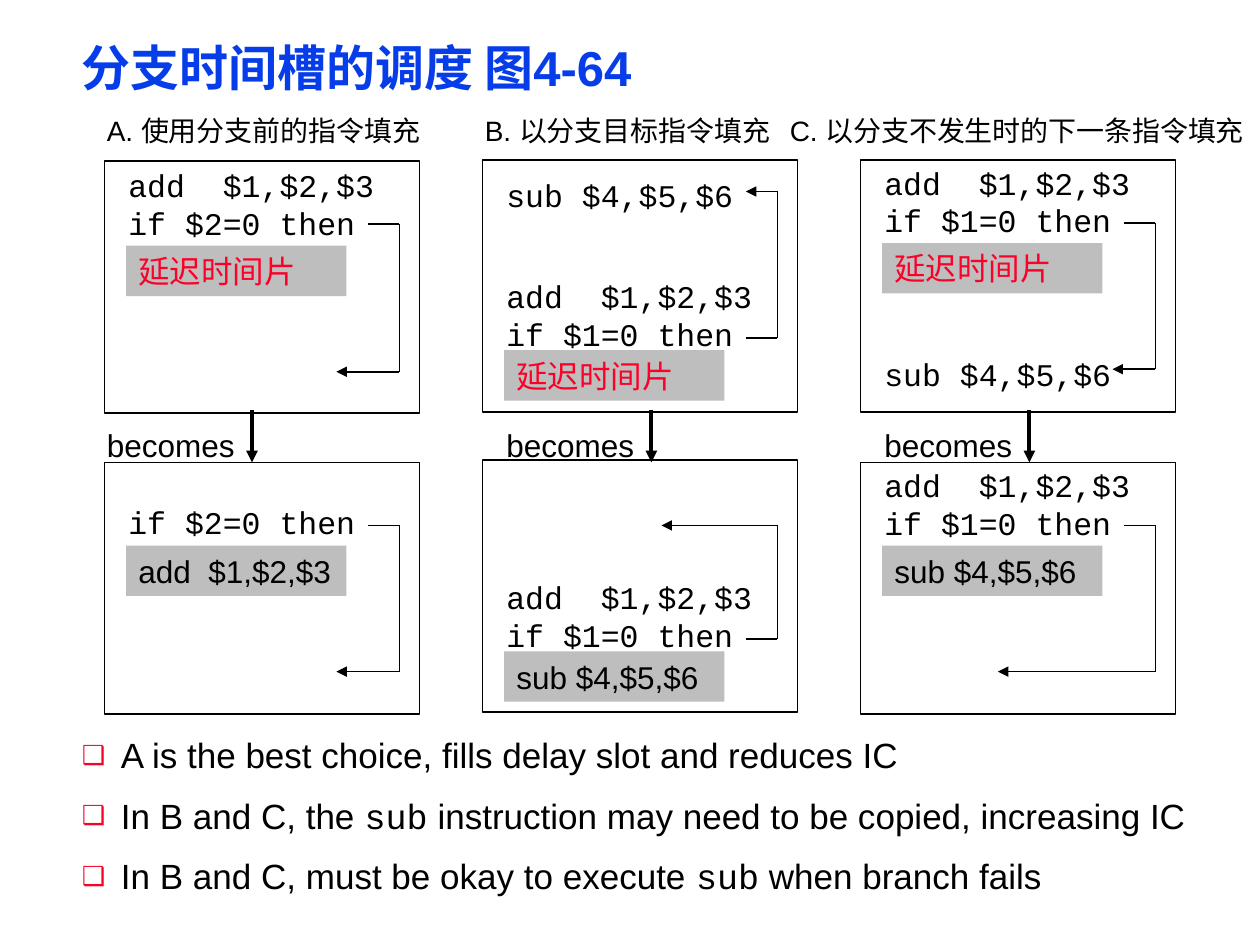
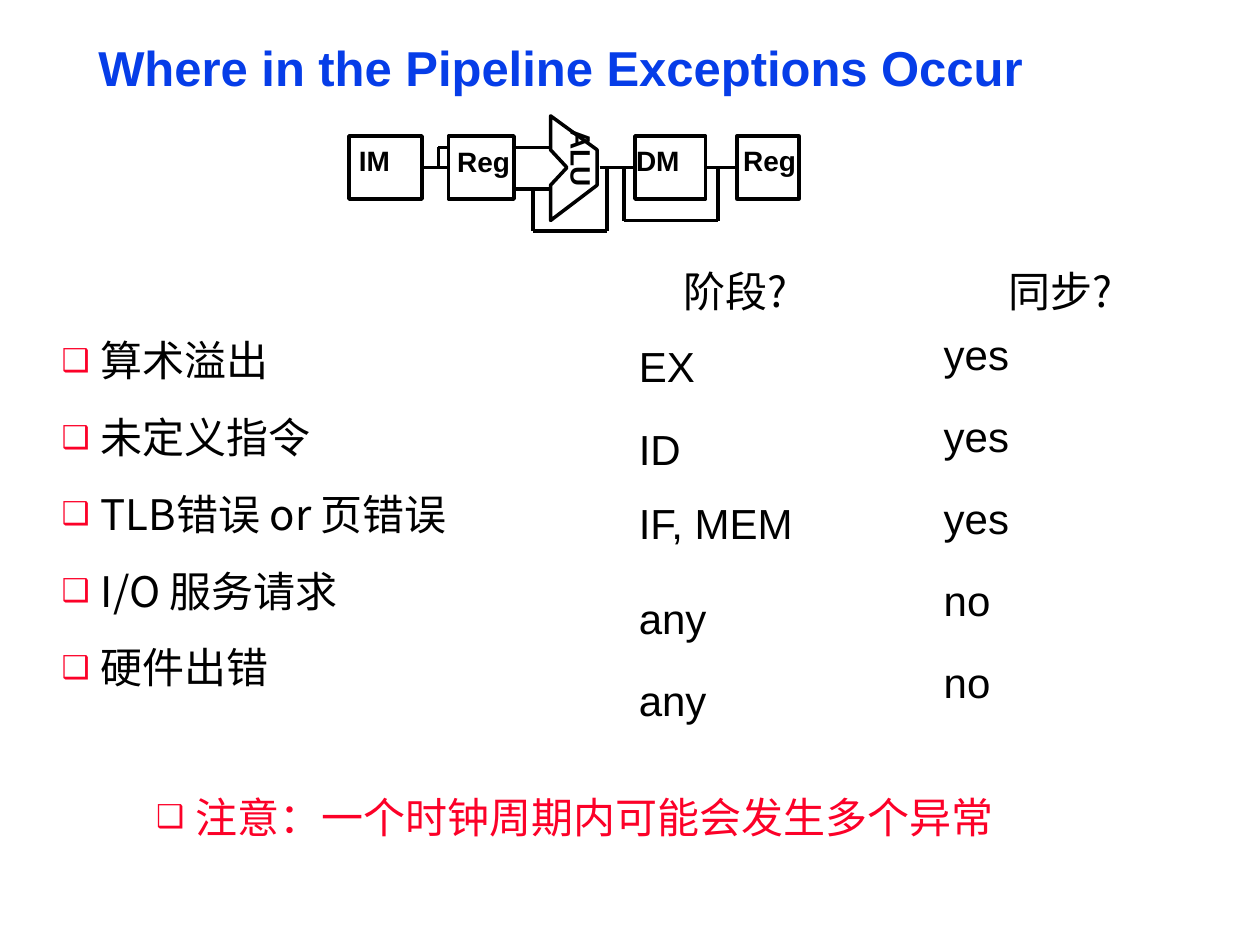
from dataclasses import dataclass
from itertools import pairwise

from lxml import etree
from pptx import Presentation
from pptx.dml.color import RGBColor
from pptx.enum.shapes import MSO_CONNECTOR, MSO_SHAPE
from pptx.enum.text import MSO_ANCHOR, MSO_AUTO_SIZE, PP_ALIGN
from pptx.oxml.ns import qn
from pptx.shapes.autoshape import Shape
from pptx.shapes.connector import Connector
from pptx.slide import Slide
from pptx.text.text import TextFrame
from pptx.util import Inches, Pt

BLACK = RGBColor(0x00, 0x00, 0x00)
BLUE = RGBColor(0x06, 0x3D, 0xE8)
RED = RGBColor(0xFC, 0x01, 0x28)
GRAY = RGBColor(0xBE, 0xBE, 0xBE)
SANS, MONO, HAN = "Arial", "Courier New", "Noto Sans CJK SC"
RECT = MSO_SHAPE.RECTANGLE
STRAIGHT = MSO_CONNECTOR.STRAIGHT
MIDDLE = MSO_ANCHOR.MIDDLE
LEFT, CENTER = PP_ALIGN.LEFT, PP_ALIGN.CENTER
GROW = MSO_AUTO_SIZE.SHAPE_TO_FIT_TEXT
LEFT_SIDE, RIGHT_SIDE = 1, 3
DELAY = "延迟时间片"
ADD, SUB = "add  $1,$2,$3", "sub $4,$5,$6"
IF_ONE, IF_TWO = "if $1=0 then", "if $2=0 then"

Point = tuple[float, float]
Area = tuple[float, float, float, float]


@dataclass(frozen=True)
class Style:
    """Looks of a block of text."""
    size: int
    font: str = SANS
    color: RGBColor = BLACK
    bold: bool = False
    align: PP_ALIGN = LEFT
    lines: float = 1.0
    before: float = 0
    bullet: bool = False
    tight: bool = False
    wrap: bool = True


@dataclass(frozen=True)
class Panel:
    """Code box whose inner heights count from its top."""
    left: float
    top: float
    code: tuple[tuple[float, str], ...]
    slot: str
    slot_y: float
    start_y: float
    end_y: float
    head_x: float


@dataclass(frozen=True)
class Unit:
    """Pipeline block with its label."""
    name: str
    left: float
    width: float
    label: Area


TITLE = Style(28, color=BLUE, bold=True, lines=0.87, tight=True)
POINTS = Style(20, lines=0.9, before=13, bullet=True, tight=True)
CAPTION = Style(16)
CODE = Style(18, MONO)
PLAIN = Style(18)
WAIT = Style(18, color=RED)
CAUSES = Style(24, HAN, lines=0.9, before=18, bullet=True, tight=True)
HEAD = Style(24, HAN, align=CENTER, tight=True)
NOTE = Style(24, HAN, RED, bullet=True, tight=True)
ANSWER = Style(24, before=18, tight=True)
LABEL = Style(16, bold=True, wrap=False)

CAPTIONS = (
    ("A. 使用分支前的指令填充", 0.75, 3.08),
    ("B. 以分支目标指令填充", 3.75, 2.92),
    ("C. 以分支不发生时的下一条指令填充", 6.17, 4),
)
PANELS = (
    Panel(0.83, 1.28, ((-0.01, f"{ADD}\n{IF_TWO}"),), DELAY, 0.67, 0.5, 1.67, 1.84),
    Panel(3.83, 1.27, ((0.88, f"{ADD}\n{IF_ONE}"), (0.08, SUB)), DELAY, 1.51, 1.41, 0.25, 2.09),
    Panel(6.83, 1.27, ((-0.02, f"{ADD}\n{IF_ONE}"), (1.5, SUB)), DELAY, 0.66, 0.5, 1.66, 2),
    Panel(0.83, 3.67, ((0.27, IF_TWO),), ADD, 0.66, 0.5, 1.66, 1.84),
    Panel(3.83, 3.65, ((0.89, f"{ADD}\n{IF_ONE}"),), SUB, 1.52, 1.42, 0.52, 1.42),
    Panel(6.83, 3.67, ((-0.02, f"{ADD}\n{IF_ONE}"),), SUB, 0.66, 0.5, 1.66, 1.09),
)
POINT_TEXT = (
    "A is the best choice, fills delay slot and reduces IC\n"
    "In B and C, the |sub| instruction may need to be copied, increasing IC\n"
    "In B and C, must be okay to execute |sub| when branch fails"
)
UNITS = (
    Unit("IM", 2.77, 0.58, (2.75, 1.09, 0.45, 0.36)),
    Unit("Reg", 3.56, 0.52, (3.53, 1.1, 0.62, 0.36)),
    Unit("DM", 5.04, 0.56, (4.95, 1.09, 0.62, 0.36)),
    Unit("Reg", 5.85, 0.49, (5.8, 1.09, 0.62, 0.36)),
)
ALU = ((4.37, 1.47), (4.5, 1.33), (4.37, 1.19), (4.37, 0.92),
       (4.74, 1.19), (4.74, 1.47), (4.37, 1.75))
WIRES = (
    (((3.48, 1.33), (3.48, 1.17), (3.56, 1.17)), 2),
    (((4.09, 1.17), (4.36, 1.17)), 2),
    (((4.09, 1.5), (4.36, 1.5)), 2),
    (((4.23, 1.5), (4.23, 1.83), (4.82, 1.83), (4.82, 1.33)), 2.25),
    (((4.95, 1.33), (4.95, 1.75), (5.7, 1.75), (5.7, 1.33)), 2.25),
)
CAUSE_TEXT = "算术溢出\n未定义指令\nTLB错误 or 页错误\nI/O 服务请求\n硬件出错"
HEADS = (("阶段?", 4.42), ("同步?", 7))
ANSWERS = (
    ("EX", (5, 2.67, 1.67, 0.46)),
    ("ID", (5, 3.33, 1.67, 0.46)),
    ("IF, MEM", (5, 3.92, 1.67, 0.46)),
    ("any\nany", (5, 4.67, 1.67, 1.17)),
    ("yes\nyes\nyes\nno\nno", (7.42, 2.58, 1.67, 3.25)),
)


def fill_text(frame: TextFrame, text: str, style: Style) -> None:
    """Write lines into a frame, with parts between bars in the code font."""
    frame.word_wrap = style.wrap
    frame.text = text
    for para in frame.paragraphs:
        para.text, *rest = para.text.split("|")
        for part in rest:
            para.add_run().text = part
        para.alignment = style.align
        para.line_spacing = style.lines
        para.space_before = Pt(style.before)
        if style.bullet:
            add_bullet(para._p.get_or_add_pPr())
        for index, run in enumerate(para.runs):
            run.font.name = MONO if index % 2 else style.font
            run.font.size = Pt(style.size)
            run.font.bold = style.bold
            run.font.color.rgb = style.color


def add_bullet(props: etree._Element) -> None:
    """Give paragraph properties a red box bullet and a hanging indent."""
    props.set("marL", str(Inches(0.31)))
    props.set("indent", str(-Inches(0.31)))
    color = etree.SubElement(props, qn("a:buClr"))
    etree.SubElement(color, qn("a:srgbClr"), val=str(RED))
    etree.SubElement(props, qn("a:buSzPct"), val="75000")
    etree.SubElement(props, qn("a:buFont"), typeface=SANS)
    etree.SubElement(props, qn("a:buChar"), char="❑")


def add_text(slide: Slide, text: str, area: Area, style: Style) -> Shape:
    """Add a text box."""
    box = slide.shapes.add_textbox(*map(Inches, area))
    frame = box.text_frame
    frame.auto_size = GROW
    if style.tight:
        frame.margin_left = frame.margin_right = Inches(0.07)
        frame.margin_top = frame.margin_bottom = Inches(0.03)
    fill_text(frame, text, style)
    return box


def outline(shape: Shape, width: float) -> None:
    """Leave only a black outline on a shape."""
    shape.shadow.inherit = False
    shape.fill.background()
    shape.line.color.rgb = BLACK
    shape.line.width = Pt(width)


def add_frame(slide: Slide, area: Area, width: float) -> Shape:
    """Add an unfilled rectangle."""
    box = slide.shapes.add_shape(RECT, *map(Inches, area))
    outline(box, width)
    return box


def add_slot(slide: Slide, text: str, left: float, top: float) -> None:
    """Add a gray delay slot."""
    area = (left, top, 1.75, 0.4)
    box = slide.shapes.add_shape(RECT, *map(Inches, area))
    box.shadow.inherit = False
    box.fill.solid()
    box.fill.fore_color.rgb = GRAY
    box.line.fill.background()
    box.text_frame.vertical_anchor = MIDDLE
    fill_text(box.text_frame, text, WAIT if text == DELAY else PLAIN)


def add_line(slide: Slide, start: Point, end: Point, width: float) -> Connector:
    """Add a straight black line."""
    line = slide.shapes.add_connector(STRAIGHT, *map(Inches, start + end))
    line.line.color.rgb = BLACK
    line.line.width = Pt(width)
    etree.SubElement(line._element.spPr, qn("a:effectLst"))
    return line


def add_route(slide: Slide, points: tuple[Point, ...], width: float, arrow: bool = False) -> None:
    """Chain lines through points, with an optional arrow at the end."""
    lines = [add_line(slide, start, end, width) for start, end in pairwise(points)]
    if arrow:
        etree.SubElement(lines[-1].line._get_or_add_ln(), qn("a:tailEnd"), type="triangle")


def add_panel(slide: Slide, panel: Panel) -> None:
    """Draw a code box with its slot and branch arrow."""
    left, top = panel.left, panel.top
    add_frame(slide, (left, top, 2.5, 2), 1)
    for code_y, code in panel.code:
        height = 0.7 if "\n" in code else 0.4
        add_text(slide, code, (left + 0.09, top + code_y, 2.25, height), CODE)
    add_slot(slide, panel.slot, left + 0.17, top + panel.slot_y)
    start, end, turn = top + panel.start_y, top + panel.end_y, left + 2.34
    points = ((left + 2.09, start), (turn, start), (turn, end), (left + panel.head_x, end))
    add_route(slide, points, 1, arrow=True)


def build_slots(slide: Slide) -> None:
    """Build the slide on branch delay slots."""
    add_text(slide, "分支时间槽的调度 图4-64", (0.58, 0.33, 8.92, 0.47), TITLE)
    add_text(slide, POINT_TEXT, (0.58, 5.83, 8.92, 1.26), POINTS)
    for text, left, width in CAPTIONS:
        add_text(slide, text, (left, 0.85, width, 0.37), CAPTION)
    for panel in PANELS:
        add_panel(slide, panel)
    for left in (0.75, 3.92, 6.92):
        add_text(slide, "becomes", (left, 3.33, 1.25, 0.4), PLAIN)
        add_route(slide, ((left + 1.25, 3.25), (left + 1.25, 3.67)), 2.25, arrow=True)


def draw_pipe(slide: Slide) -> None:
    """Draw the pipeline with its forwarding paths."""
    pen = slide.shapes.build_freeform(*map(Inches, ALU[0]), scale=1.0)
    pen.add_line_segments([(Inches(x), Inches(y)) for x, y in ALU[1:]], close=True)
    outline(pen.convert_to_shape(), 2)
    add_text(slide, "ALU", (4.22, 1.15, 0.8, 0.36), LABEL).rotation = 90
    boxes = []
    for unit in UNITS:
        boxes.append(add_frame(slide, (unit.left, 1.08, unit.width, 0.5), 2))
        add_text(slide, unit.name, unit.label, LABEL)
    fetch, read, data, write = boxes
    for first, last in ((fetch, read), (data, write)):
        link = add_line(slide, (3.35, 1.33), (3.56, 1.33), 2)
        link.begin_connect(first, RIGHT_SIDE)
        link.end_connect(last, LEFT_SIDE)
    add_line(slide, (4.76, 1.33), (5.04, 1.33), 2).end_connect(data, LEFT_SIDE)
    for points, width in WIRES:
        add_route(slide, points, width)


def build_faults(slide: Slide) -> None:
    """Build the slide on pipeline exceptions."""
    add_text(slide, "Where in the Pipeline Exceptions Occur", (0.71, 0.33, 7.49, 0.46), TITLE)
    add_text(slide, CAUSE_TEXT, (0.42, 2.67, 3.83, 3.09), CAUSES)
    draw_pipe(slide)
    for text, left in HEADS:
        add_text(slide, text, (left, 2.08, 2.83, 0.46), HEAD)
    for text, area in ANSWERS:
        add_text(slide, text, area, ANSWER)
    add_text(slide, "注意：一个时钟周期内可能会发生多个异常", (1.17, 6.25, 8, 0.46), NOTE)


def main() -> None:
    """Build and save the deck."""
    deck = Presentation()
    deck.slide_width, deck.slide_height = Inches(10), Inches(7.5)
    blank = deck.slide_layouts[6]
    for build in (build_slots, build_faults):
        build(deck.slides.add_slide(blank))
    deck.save("out.pptx")


if __name__ == "__main__":
    main()
